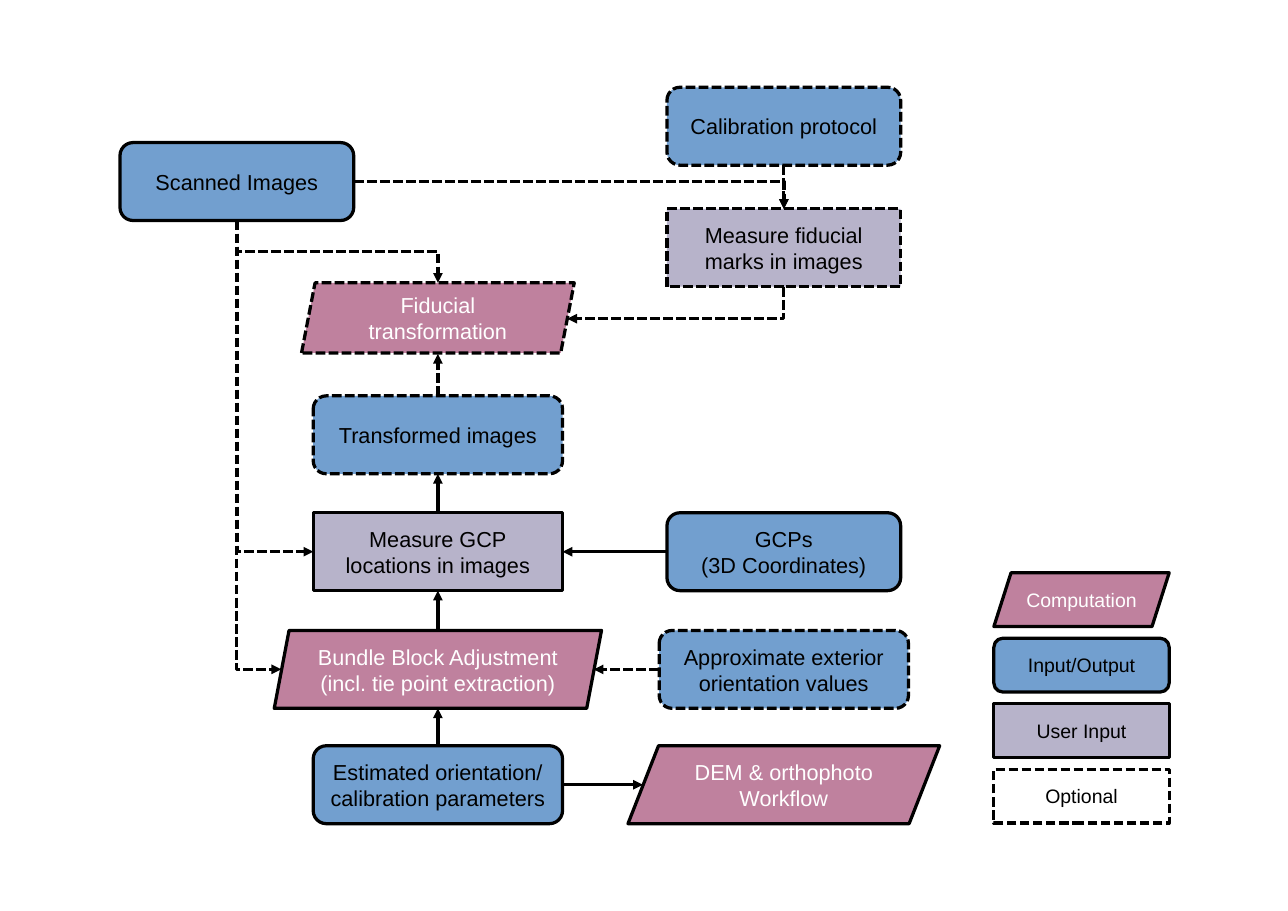
"""Draw the photogrammetry workflow chart."""
from lxml.etree import SubElement
from pptx import Presentation
from pptx.dml.color import RGBColor
from pptx.enum.dml import MSO_LINE as Dash
from pptx.enum.shapes import MSO_CONNECTOR as Link, MSO_SHAPE as Form
from pptx.enum.text import MSO_ANCHOR as Anchor, PP_ALIGN as Align
from pptx.oxml.ns import qn
from pptx.util import Inches, Pt

BLACK = RGBColor(0, 0, 0)
WHITE = RGBColor(255, 255, 255)
BLUE = RGBColor(0x72, 0x9F, 0xCF)
ROSE = RGBColor(0xBF, 0x81, 0x9E)
LILAC = RGBColor(0xB7, 0xB3, 0xCA)

DATA = (Form.ROUNDED_RECTANGLE, BLUE, BLACK)
TASK = (Form.PARALLELOGRAM, ROSE, WHITE)
USER = (Form.RECTANGLE, LILAC, BLACK)
BARE = (Form.RECTANGLE, WHITE, BLACK)

LEFT, SPINE, RIGHT, KEY = 3.04, 5.62, 10.06, 13.88


def style(line, dashed):
    """Give a line its colour, width and dash."""
    line.color.rgb = BLACK
    line.width = Pt(3)
    if dashed:
        line.dash_style = Dash.SQUARE_DOT


def box(slide, kind, text, mid, top, width, height=1, dashed=False,
        slant=0.167, size=20):
    """Add a labelled box centred on a column."""
    form, fill, ink = kind
    shape = slide.shapes.add_shape(form, Inches(mid - width / 2), Inches(top),
                                   Inches(width), Inches(height))
    shape.shadow.inherit = False
    shape.fill.solid()
    shape.fill.fore_color.rgb = fill
    style(shape.line, dashed)
    if form != Form.RECTANGLE:
        shape.adjustments[0] = slant
    frame = shape.text_frame
    frame.text = text
    frame.word_wrap = True
    frame.vertical_anchor = Anchor.MIDDLE
    frame.margin_left = frame.margin_right = Inches(0.12)
    frame.margin_top = frame.margin_bottom = Inches(0.07)
    for para in frame.paragraphs:
        para.alignment = Align.CENTER
        for run in para.runs:
            run.font.name = "Arial"
            run.font.size = Pt(size)
            run.font.color.rgb = ink


def arrow(slide, start, end, dashed=False, link=Link.STRAIGHT):
    """Add a connector with an arrowhead at its end and return it."""
    ends = [Inches(value) for value in (*start, *end)]
    line = slide.shapes.add_connector(link, *ends)
    style(line.line, dashed)
    props = line._element.spPr
    SubElement(props.find(qn("a:ln")), qn("a:tailEnd"), type="triangle")
    SubElement(props, qn("a:effectLst"))
    return line


def bend(slide, start, end, preset="bentConnector2", down=True):
    """Add a dashed elbow that leaves downwards or sideways."""
    (x1, y1), (x2, y2) = start, end
    turn = 0
    if down:
        mid_x, mid_y = (x1 + x2) / 2, (y1 + y2) / 2
        half_w, half_h = (y2 - y1) / 2, abs(x2 - x1) / 2
        side = 1 if x2 > x1 else -1
        start = mid_x + side * half_w, mid_y - half_h
        end = mid_x - side * half_w, mid_y + half_h
        turn = 270 if side > 0 else 90
    line = arrow(slide, start, end, True, Link.ELBOW)
    props = line._element.spPr
    props.find(qn("a:prstGeom")).set("prst", preset)
    if turn:
        props.find(qn("a:xfrm")).set("rot", str(turn * 60000))


def steps(slide):
    """Add the boxes of the workflow."""
    box(slide, DATA, "Scanned Images", LEFT, 1.83, 3)
    box(slide, DATA, "Calibration protocol", RIGHT, 1.12, 3, dashed=True)
    box(slide, USER, "Measure fiducial\nmarks in images", RIGHT, 2.68, 3,
        dashed=True)
    box(slide, TASK, "Fiducial transformation", SPINE, 3.63, 3.5, 0.9,
        dashed=True, slant=0.193)
    box(slide, DATA, "Transformed images", SPINE, 5.08, 3.2, dashed=True)
    box(slide, USER, "Measure GCP\nlocations in images", SPINE, 6.58, 3.2)
    box(slide, DATA, "GCPs\n(3D Coordinates)", RIGHT, 6.58, 3)
    box(slide, TASK, "Bundle Block Adjustment\n(incl. tie point extraction)",
        SPINE, 8.09, 4.2, slant=0.19)
    box(slide, DATA, "Approximate exterior orientation values", RIGHT, 8.09,
        3.2, dashed=True)
    box(slide, DATA, "Estimated orientation/\ncalibration parameters", SPINE,
        9.57, 3.2)
    box(slide, TASK, "DEM & orthophoto Workflow", RIGHT, 9.57, 4, slant=0.392)


def flows(slide):
    """Add the arrows between the boxes."""
    for low, high, dashed in ((5.08, 4.54, True), (6.58, 6.08, False),
                              (8.09, 7.58, False), (9.57, 9.09, False)):
        arrow(slide, (SPINE, low), (SPINE, high), dashed)
    for x1, x2, y, dashed in ((8.56, 7.22, 7.08, False),
                              (8.46, 7.62, 8.59, True),
                              (7.22, 8.25, 10.07, False)):
        arrow(slide, (x1, y), (x2, y), dashed)
    arrow(slide, (RIGHT, 2.12), (RIGHT, 2.68), True)
    bend(slide, (4.54, 2.33), (RIGHT, 2.68), down=False)
    bend(slide, (RIGHT, 3.68), (7.28, 4.09))
    scan = LEFT, 2.83
    bend(slide, scan, (SPINE, 3.63), "bentConnector3")
    bend(slide, scan, (4.02, 7.08))
    bend(slide, scan, (3.61, 8.59))


def legend(slide):
    """Add the key to the kinds of box."""
    rows = ((TASK, "Computation", 0.319), (DATA, "Input/Output", 0.167),
            (USER, "User Input", 0), (BARE, "Optional", 0))
    for row, (kind, text, slant) in enumerate(rows):
        box(slide, kind, text, KEY, 7.35 + 0.84 * row, 2.25, 0.69,
            dashed=kind is BARE, slant=slant, size=18)


def main():
    """Build and save the slide."""
    deck = Presentation()
    deck.slide_width = Inches(16.53)
    deck.slide_height = Inches(11.69)
    slide = deck.slides.add_slide(deck.slide_layouts[6])
    steps(slide)
    flows(slide)
    legend(slide)
    deck.save("out.pptx")


if __name__ == "__main__":
    main()
